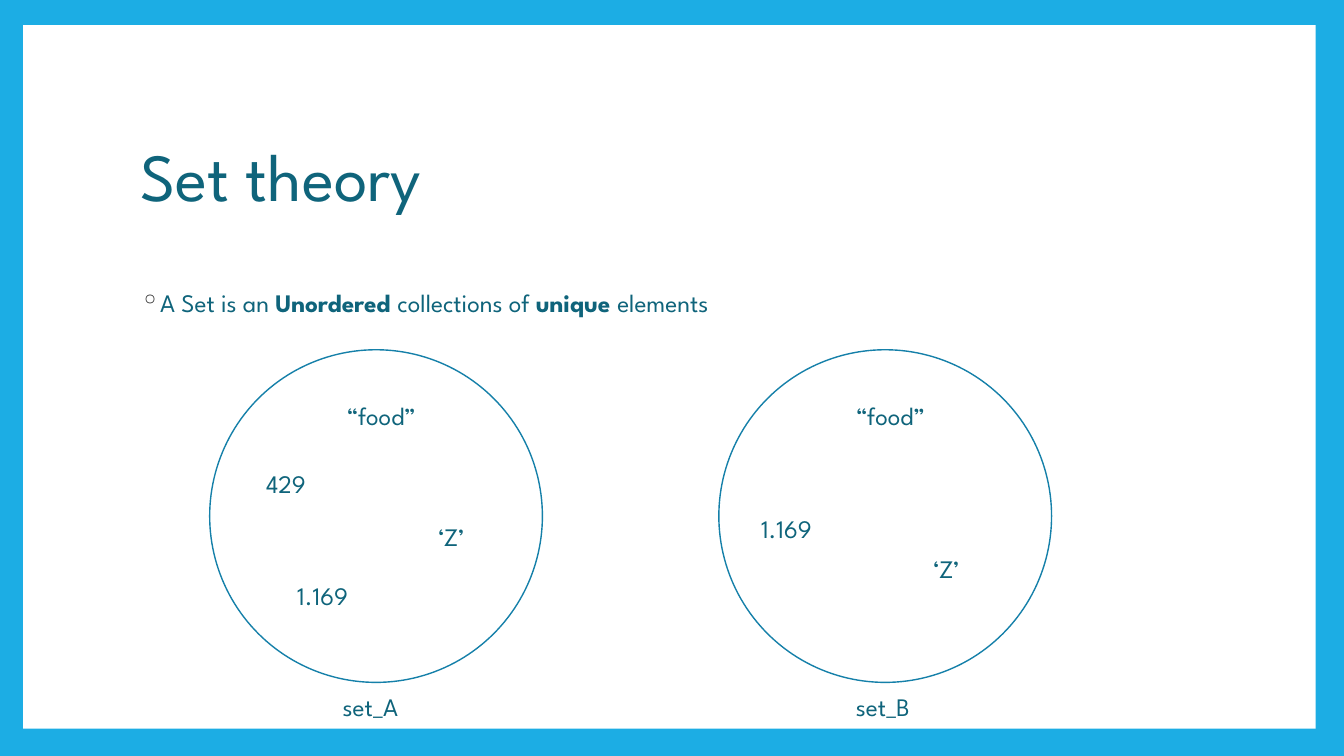
from dataclasses import dataclass

from lxml.etree import SubElement
from pptx import Presentation
from pptx.dml.color import RGBColor
from pptx.enum.shapes import MSO_SHAPE
from pptx.enum.text import MSO_ANCHOR, MSO_AUTO_SIZE
from pptx.oxml.ns import qn
from pptx.shapes.autoshape import Shape
from pptx.slide import Slide
from pptx.text.text import _Paragraph
from pptx.util import Inches, Pt

FRAME_BLUE = RGBColor(0x1C, 0xAD, 0xE4)
WHITE = RGBColor(0xFF, 0xFF, 0xFF)
TEXT_TEAL = RGBColor(0x0F, 0x64, 0x7B)
CIRCLE_BLUE = RGBColor(0x15, 0x80, 0xA9)
BULLET_GREY = RGBColor(0x26, 0x26, 0x26)
FONT = "League Spartan"

CIRCLE_TOP = 3.47
CIRCLE_SIZE = 3.3
NAME_TOP = 6.81
LABEL_HEIGHT = 0.4


@dataclass(frozen=True)
class Label:
    """A short text and its place on the slide, in inches."""
    text: str
    left: float
    top: float
    width: float


@dataclass(frozen=True)
class SetDiagram:
    """A circle, the elements inside it and the name below it."""
    left: float
    elements: tuple[Label, ...]
    name: Label


SETS = (
    SetDiagram(
        2.08,
        (
            Label("“food”", 3.34, 3.92, 1.03),
            Label("429", 2.54, 4.6, 0.62),
            Label("1.169", 2.85, 5.71, 0.83),
            Label("‘Z’", 4.25, 5.12, 0.5),
        ),
        Label("set_A", 3.3, NAME_TOP, 0.86),
    ),
    SetDiagram(
        7.13,
        (
            Label("“food”", 8.39, 3.92, 1.03),
            Label("1.169", 7.45, 5.04, 0.83),
            Label("‘Z’", 9.16, 5.44, 0.5),
        ),
        Label("set_B", 8.39, NAME_TOP, 0.82),
    ),
)

# Each phrase of the definition, with whether it is bold.
DEFINITION = (
    ("A Set is an ", False),
    ("Unordered ", True),
    ("collections of ", False),
    ("unique ", True),
    ("elements", False),
)


def add_panel(slide: Slide, left: float, top: float, width: float,
              height: float, color: RGBColor) -> None:
    """Draw a plain filled rectangle."""
    panel = slide.shapes.add_shape(MSO_SHAPE.RECTANGLE, Inches(left),
                                   Inches(top), Inches(width), Inches(height))
    panel.shadow.inherit = False
    panel.fill.solid()
    panel.fill.fore_color.rgb = color
    panel.line.fill.background()


def add_text(slide: Slide, left: float, top: float, width: float,
             height: float, text: str = "", size: int = 18) -> Shape:
    """Add a wrapping text box with one styled paragraph."""
    box = slide.shapes.add_textbox(Inches(left), Inches(top),
                                   Inches(width), Inches(height))
    box.text_frame.word_wrap = True
    paragraph = box.text_frame.paragraphs[0]
    paragraph.text = text
    paragraph.font.name = FONT
    paragraph.font.size = Pt(size)
    paragraph.font.color.rgb = TEXT_TEAL
    return box


def add_bullet(paragraph: _Paragraph, character: str, indent: float) -> None:
    """Give a paragraph a hanging bullet."""
    properties = paragraph._p.get_or_add_pPr()
    properties.set("marL", str(Inches(indent)))
    properties.set("indent", str(-Inches(indent)))
    bullet_color = SubElement(properties, qn("a:buClr"))
    SubElement(bullet_color, qn("a:srgbClr"), val=str(BULLET_GREY))
    bullet = SubElement(properties, qn("a:buChar"), char=character)
    # Bullet settings come before the default run properties.
    default_run = properties.find(qn("a:defRPr"))
    if default_run is not None:
        default_run.addprevious(bullet_color)
        default_run.addprevious(bullet)


def add_title(slide: Slide) -> None:
    """Add the slide heading."""
    title = add_text(slide, 1.29, 0.95, 10.71, 1.67, "Set theory", 48)
    title.text_frame.vertical_anchor = MSO_ANCHOR.MIDDLE
    title.text_frame.paragraphs[0].line_spacing = 0.9


def add_definition(slide: Slide) -> None:
    """Add the bulleted definition with its bold words."""
    body = add_text(slide, 1.29, 2.8, 10.71, 3.73)
    paragraph = body.text_frame.paragraphs[0]
    paragraph.space_before = Pt(9)
    add_bullet(paragraph, "◦", 0.2)
    for phrase, bold in DEFINITION:
        run = paragraph.add_run()
        run.text = phrase
        run.font.bold = bold


def add_label(slide: Slide, label: Label) -> None:
    """Add a one-line label that fits its text."""
    box = add_text(slide, label.left, label.top, label.width, LABEL_HEIGHT,
                   label.text)
    box.text_frame.word_wrap = False
    box.text_frame.auto_size = MSO_AUTO_SIZE.SHAPE_TO_FIT_TEXT


def add_set(slide: Slide, diagram: SetDiagram) -> None:
    """Draw a set as a circle with its elements and name."""
    circle = slide.shapes.add_shape(
        MSO_SHAPE.OVAL, Inches(diagram.left), Inches(CIRCLE_TOP),
        Inches(CIRCLE_SIZE), Inches(CIRCLE_SIZE))
    circle.shadow.inherit = False
    circle.fill.background()
    circle.line.color.rgb = CIRCLE_BLUE
    circle.line.width = Pt(1)
    for label in (*diagram.elements, diagram.name):
        add_label(slide, label)


def main() -> None:
    """Build and save the slide."""
    presentation = Presentation()
    presentation.slide_width = Inches(13.33)
    presentation.slide_height = Inches(7.5)
    slide = presentation.slides.add_slide(presentation.slide_layouts[6])
    add_panel(slide, 0, 0, 13.33, 7.5, FRAME_BLUE)
    add_panel(slide, 0.23, 0.25, 12.82, 6.98, WHITE)
    add_title(slide)
    add_definition(slide)
    for diagram in SETS:
        add_set(slide, diagram)
    presentation.save("out.pptx")


main()
